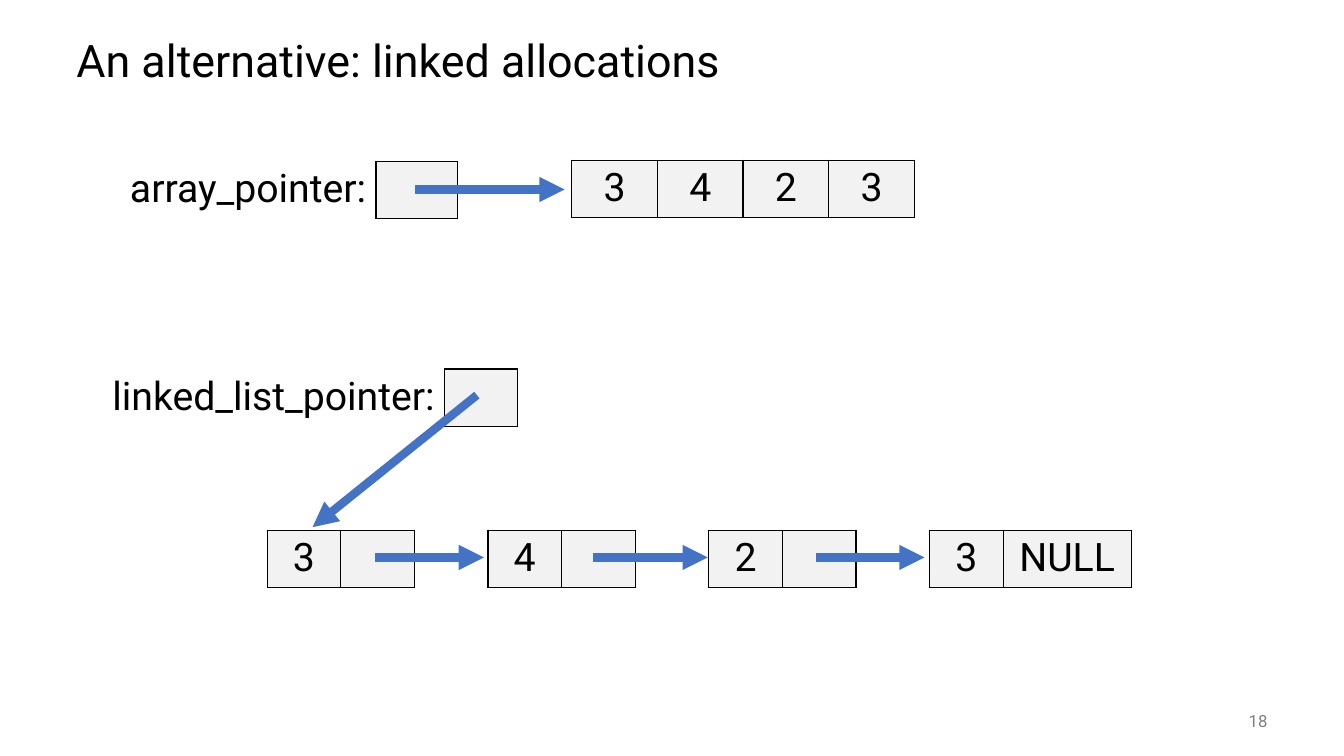
"""Build the slide that contrasts an array with linked allocations."""
from lxml.etree import SubElement
from pptx import Presentation
from pptx.dml.color import RGBColor
from pptx.enum.shapes import MSO_CONNECTOR
from pptx.enum.text import MSO_ANCHOR, PP_ALIGN
from pptx.oxml.ns import qn
from pptx.util import Inches, Pt

THEME = {
    "font": "Roboto",
    "text": "000000",
    "number": "808080",
    "cell": "F2F2F2",
    "border": "000000",
    "arrow": "4472C4",
    "title_size": 32,
    "cell_size": 28,
    "number_size": 12,
    "border_width": 1,
    "arrow_width": 6,
}

TITLE = "An alternative: linked allocations"
PAGE_NUMBER = "18"
GAP = None
ROW_HEIGHT = 0.57
NODE = 0.73
ARRAY_CELL = 0.85

TABLES = [
    (4.54, 1.59, [(GAP, 1.13)] + [(value, ARRAY_CELL) for value in "3423"]),
    (-0.32, 5.26, [(GAP, 2.97), ("3", NODE), ("", NODE),
                   (GAP, NODE), ("4", NODE), ("", NODE),
                   (GAP, NODE), ("2", NODE), ("", NODE),
                   (GAP, NODE), ("3", NODE), ("NULL", 1.27)]),
    (0.95, 1.6, [("array_pointer:", 2.78), ("", 0.81)]),
    (0.81, 3.66, [("linked_list_pointer:", 3.6), ("", 0.72)]),
]

ARROWS = [
    ((4.12, 1.88), (5.6, 1.88)),
    ((4.73, 3.92), (3.1, 5.23)),
    ((3.72, 5.53), (4.8, 5.53)),
    ((5.88, 5.53), (7.02, 5.53)),
    ((8.09, 5.53), (9.17, 5.53)),
]


def style_text(para, size, color, align):
    """Apply the theme font to one paragraph."""
    para.alignment = align
    para.font.name = THEME["font"]
    para.font.size = Pt(size)
    para.font.color.rgb = RGBColor.from_string(color)


def add_text(page, place, text, size, color, align):
    """Add a one-line text box centred vertically."""
    box = page.shapes.add_textbox(*(Inches(length) for length in place))
    box.text_frame.word_wrap = True
    box.text_frame.vertical_anchor = MSO_ANCHOR.MIDDLE
    para = box.text_frame.paragraphs[0]
    para.text = text
    style_text(para, size, color, align)
    return para


def set_border(cell, side, visible):
    """Draw or clear one side of a table cell."""
    line = SubElement(cell._tc.get_or_add_tcPr(), qn(f"a:ln{side}"))
    line.set("w", str(Pt(THEME["border_width"])))
    if visible:
        fill = SubElement(line, qn("a:solidFill"))
        SubElement(fill, qn("a:srgbClr")).set("val", THEME["border"])
    else:
        SubElement(line, qn("a:noFill"))


def add_row(page, left, top, items):
    """Add a one-row table of memory cells, labels and gaps."""
    width = sum(size for _, size in items)
    table = page.shapes.add_table(
        1, len(items), Inches(left), Inches(top), Inches(width), Inches(ROW_HEIGHT)
    ).table
    table.first_row = table.horz_banding = False
    labels = [text is not GAP and text.endswith(":") for text, _ in items]
    boxed = [text is not GAP and not label
             for (text, _), label in zip(items, labels)]
    padded = [False] + boxed + [False]
    for index, (text, size) in enumerate(items):
        table.columns[index].width = Inches(size)
        cell = table.cell(0, index)
        before, here, after = padded[index:index + 3]
        for side, visible in (("L", here or before), ("R", here or after),
                              ("T", here), ("B", here)):
            set_border(cell, side, visible)
        if here:
            cell.fill.solid()
            cell.fill.fore_color.rgb = RGBColor.from_string(THEME["cell"])
        else:
            cell.fill.background()
        if text:
            para = cell.text_frame.paragraphs[0]
            para.text = text
            align = PP_ALIGN.RIGHT if labels[index] else PP_ALIGN.CENTER
            style_text(para, THEME["cell_size"], THEME["text"], align)


def add_arrow(page, start, end):
    """Add a thick pointer arrow."""
    arrow = page.shapes.add_connector(
        MSO_CONNECTOR.STRAIGHT, *(Inches(length) for length in start + end)
    )
    arrow.line.color.rgb = RGBColor.from_string(THEME["arrow"])
    arrow.line.width = Pt(THEME["arrow_width"])
    SubElement(arrow.line._get_or_add_ln(), qn("a:tailEnd")).set("type", "triangle")
    SubElement(arrow._element.spPr, qn("a:effectLst"))


def main():
    """Create the deck and save it."""
    deck = Presentation()
    deck.slide_width, deck.slide_height = Inches(13.33), Inches(7.5)
    page = deck.slides.add_slide(deck.slide_layouts[6])
    title = add_text(page, (0.66, 0.25, 12, 0.75), TITLE,
                     THEME["title_size"], THEME["text"], PP_ALIGN.LEFT)
    title.line_spacing = 0.9
    add_text(page, (11.67, 6.95, 1, 0.4), PAGE_NUMBER,
             THEME["number_size"], THEME["number"], PP_ALIGN.RIGHT)
    for left, top, items in TABLES:
        add_row(page, left, top, items)
    for start, end in ARROWS:
        add_arrow(page, start, end)
    deck.save("out.pptx")


if __name__ == "__main__":
    main()
